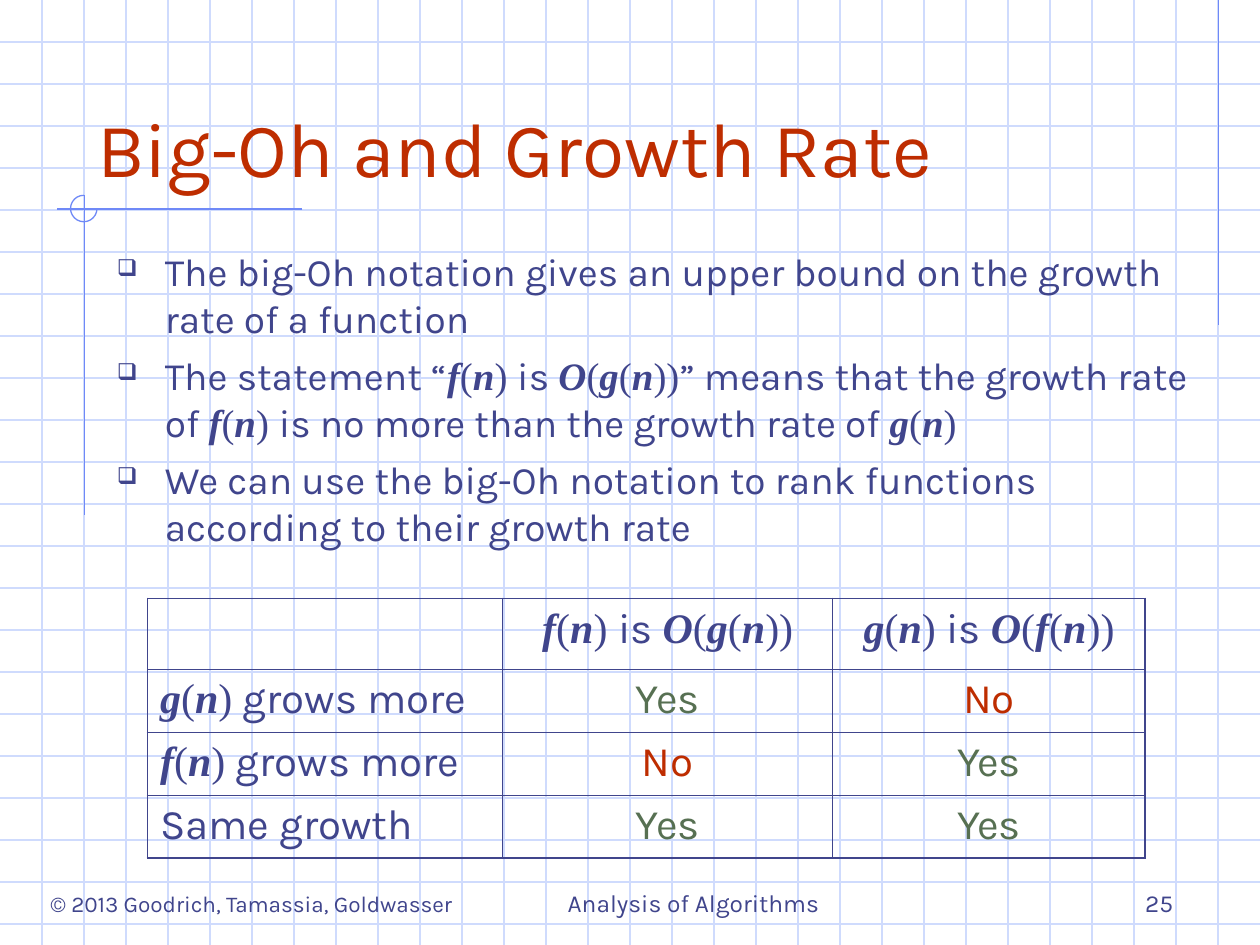
from lxml import etree
from pptx import Presentation
from pptx.dml.color import RGBColor
from pptx.enum import shapes, text
from pptx.oxml import ns
from pptx.util import Inches, Pt

INK, RED, GREEN = "40458C", "BE2D00", "577052"
GRID, ACCENT = "CFDBFD", "6F89F7"
SANS, MATH = "Karla", "Times New Roman"
WIDTH, HEIGHT = 10, 7.5
LEFT, CENTER, RIGHT = text.PP_ALIGN.LEFT, text.PP_ALIGN.CENTER, text.PP_ALIGN.RIGHT

# Formulas stand between dollar signs.
TITLE = "Big-Oh and Growth Rate"
BULLETS = [
    "The big-Oh notation gives an upper bound on the growth rate of a function",
    "The statement “$f(n) $is $O(g(n))$” means that the growth rate of "
    "$f(n) $is no more than the growth rate of $g(n)$",
    "We can use the big-Oh notation to rank functions according to their growth rate",
]
TABLE = [
    ["", "$f(n) $is $O(g(n))$", "$g(n) $is $O(f(n))$"],
    ["$g(n) $grows more", "Yes", "No"],
    ["$f(n) $grows more", "No", "Yes"],
    ["Same growth", "Yes", "Yes"],
]
COLUMN_WIDTHS = [2.82, 2.62, 2.48]
ROW_HEIGHTS = [0.56, 0.5, 0.5, 0.5]
ANSWER_COLORS = {"Yes": GREEN, "No": RED}
FOOTERS = [  # text, left, width, size, alignment
    ("© 2013 Goodrich, Tamassia, Goldwasser", 0.08, 3.83, 12.9, CENTER),
    ("Analysis of Algorithms", 3.92, 3.17, 14, CENTER),
    ("25", 7.33, 2.08, 14, RIGHT),
]
ACCENT_LINES = [
    (9.67, 0, 9.67, 2.58),
    (2.4, 1.66, 0.45, 1.66),
    (0.67, 1.55, 0.67, 4.09),
]


def rgb(value):
    return RGBColor.from_string(value)


def add_line(slide, ends, color):
    line = slide.shapes.add_connector(
        shapes.MSO_CONNECTOR.STRAIGHT, *[Inches(v) for v in ends])
    line.line.color.rgb = rgb(color)
    line.line.width = Pt(0.75)
    etree.SubElement(line._element.spPr, ns.qn("a:effectLst"))


def add_run(paragraph, content, size, color, font=SANS, emphasis=False):
    run = paragraph.add_run()
    run.text = content
    run.font.size = Pt(size)
    run.font.name = font
    run.font.color.rgb = rgb(color)
    run.font.bold = run.font.italic = emphasis


def write(paragraph, markup, size, color=INK, align=LEFT):
    """Fill a paragraph, with the letters of formulas in bold italics."""
    paragraph.alignment = align
    for i, part in enumerate(markup.split("$")):
        if i % 2 == 0:
            if part:
                add_run(paragraph, part, size, color)
            continue
        symbols = ""
        for char in part:
            if char.isalpha():
                if symbols:
                    add_run(paragraph, symbols, size, color, MATH)
                add_run(paragraph, char, size, color, MATH, True)
                symbols = ""
            else:
                symbols += char
        if symbols:
            add_run(paragraph, symbols, size, color, MATH)


def add_text_box(slide, left, top, width, height):
    box = slide.shapes.add_textbox(*[Inches(v) for v in (left, top, width, height)])
    box.text_frame.word_wrap = True
    return box.text_frame


def set_bullet(paragraph):
    props = paragraph._p.get_or_add_pPr()
    props.set("marL", str(Inches(0.38)))
    props.set("indent", str(-Inches(0.38)))
    color = etree.SubElement(props, ns.qn("a:buClr"))
    etree.SubElement(color, ns.qn("a:srgbClr"), val=INK)
    etree.SubElement(props, ns.qn("a:buSzPct"), val="60000")
    etree.SubElement(props, ns.qn("a:buChar"), char="❑")


def set_borders(cell, widths):
    props = cell._tc.get_or_add_tcPr()
    for i, (side, width) in enumerate(widths.items()):
        border = etree.Element(ns.qn(f"a:ln{side}"), w=str(Pt(width)))
        fill = etree.SubElement(border, ns.qn("a:solidFill"))
        etree.SubElement(fill, ns.qn("a:srgbClr"), val=INK)
        props.insert(i, border)


def add_background(slide):
    step = 1 / 3
    for i in range(1, 23):
        add_line(slide, (0, i * step, WIDTH, i * step), GRID)
    for i in range(1, 30):
        add_line(slide, (i * step, 0, i * step, HEIGHT), GRID)
    for ends in ACCENT_LINES:
        add_line(slide, ends, ACCENT)
    arc = slide.shapes.add_shape(
        shapes.MSO_SHAPE.ARC, Inches(0.56), Inches(1.55), Inches(0.21), Inches(0.21))
    arc.adjustments[0], arc.adjustments[1] = 0, 162  # right, clockwise to top
    arc.shadow.inherit = False
    arc.fill.background()
    arc.line.color.rgb = rgb(ACCENT)
    arc.line.width = Pt(0.75)


def add_title(slide):
    title = slide.shapes.title
    title.left, title.top = Inches(0.67), Inches(0.33)
    title.width, title.height = Inches(8.5), Inches(1.25)
    frame = title.text_frame
    frame.auto_size = text.MSO_AUTO_SIZE.NONE
    frame.vertical_anchor = text.MSO_ANCHOR.BOTTOM
    write(frame.paragraphs[0], TITLE, 44, RED)
    slide.shapes._spTree.append(title._element)  # in front of the grid


def add_bullets(slide):
    frame = add_text_box(slide, 0.83, 1.92, 8.75, 2.83)
    for i, markup in enumerate(BULLETS):
        paragraph = frame.add_paragraph() if i else frame.paragraphs[0]
        if i:
            paragraph.space_before = Pt(6)
        set_bullet(paragraph)
        write(paragraph, markup, 22.2)


def add_growth_table(slide):
    last_row, last_column = len(ROW_HEIGHTS) - 1, len(COLUMN_WIDTHS) - 1
    table = slide.shapes.add_table(
        last_row + 1, last_column + 1, Inches(1.17), Inches(4.75),
        Inches(sum(COLUMN_WIDTHS)), Inches(sum(ROW_HEIGHTS))).table
    table.first_row = table.horz_banding = False
    for column, width in zip(table.columns, COLUMN_WIDTHS):
        column.width = Inches(width)
    for row, height in zip(table.rows, ROW_HEIGHTS):
        row.height = Inches(height)
    for r, row in enumerate(TABLE):
        for c, markup in enumerate(row):
            cell = table.cell(r, c)
            cell.fill.background()
            outer = {"L": c == 0 and r > 0, "R": c == last_column,
                     "T": r == 0, "B": r == last_row}
            set_borders(cell, {s: 1.08 if out else 0.45 for s, out in outer.items()})
            write(cell.text_frame.paragraphs[0], markup, 24,
                  ANSWER_COLORS.get(markup, INK), CENTER if c else LEFT)


def add_footers(slide):
    for content, left, width, size, align in FOOTERS:
        frame = add_text_box(slide, left, 6.83, width, 0.5)
        frame.vertical_anchor = text.MSO_ANCHOR.BOTTOM
        write(frame.paragraphs[0], content, size, align=align)


def main():
    deck = Presentation()
    deck.slide_width, deck.slide_height = Inches(WIDTH), Inches(HEIGHT)
    slide = deck.slides.add_slide(deck.slide_layouts[5])
    add_background(slide)
    add_title(slide)
    add_bullets(slide)
    add_growth_table(slide)
    add_footers(slide)
    deck.save("out.pptx")


if __name__ == "__main__":
    main()
